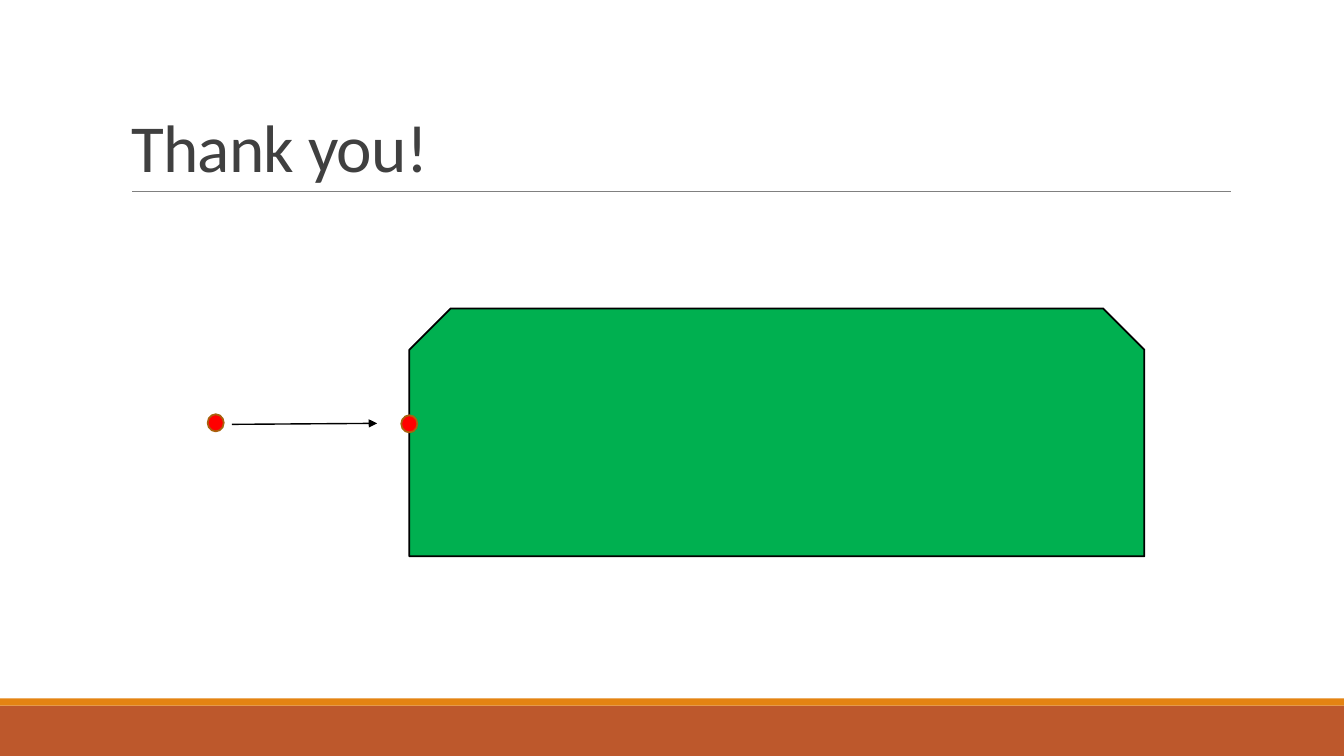
from lxml.etree import SubElement
from pptx import Presentation
from pptx.dml.color import RGBColor
from pptx.enum.shapes import MSO_CONNECTOR as Connector, MSO_SHAPE as Shape
from pptx.enum.text import MSO_ANCHOR as Anchor, MSO_AUTO_SIZE as AutoSize, PP_ALIGN as Align
from pptx.oxml.ns import qn
from pptx.util import Inches, Pt

WHITE = RGBColor(0xFF, 0xFF, 0xFF)
BLACK = RGBColor(0, 0, 0)
CHARCOAL = RGBColor(0x40, 0x40, 0x40)
GRAY = RGBColor(0x80, 0x80, 0x80)
RUST = RGBColor(0xBD, 0x58, 0x2C)
ORANGE = RGBColor(0xE4, 0x83, 0x12)
GREEN = RGBColor(0, 0xB0, 0x50)
RED = RGBColor(0xFF, 0, 0)
BROWN = RGBColor(0xA9, 0x61, 0x0D)

SLIDE_WIDTH, SLIDE_HEIGHT = 13.33, 7.5
FOOTER_TOP, STRIPE_HEIGHT = 7, 0.07
DOT_WIDTH, DOT_HEIGHT = 0.16, 0.17


class ClosingSlide:
    font = "Calibri"
    outline_width = 1.25

    def __init__(self, slide):
        self.slide = slide
        background = slide.background.fill
        background.solid()
        background.fore_color.rgb = WHITE

    def title(self, text, left, top, width, height):
        heading = self.slide.shapes.title
        heading.left, heading.top = Inches(left), Inches(top)
        heading.width, heading.height = Inches(width), Inches(height)
        frame = heading.text_frame
        frame.word_wrap = True
        frame.auto_size = AutoSize.NONE
        frame.vertical_anchor = Anchor.BOTTOM
        paragraph = frame.paragraphs[0]
        paragraph.alignment = Align.LEFT
        paragraph.line_spacing = 0.85
        run = paragraph.add_run()
        run.text = text
        run.font.name = self.font
        run.font.size = Pt(48)
        run.font.color.rgb = CHARCOAL
        run._r.get_or_add_rPr().set("spc", "-50")

    def shape(self, kind, left, top, width, height, fill, outline=None):
        item = self.slide.shapes.add_shape(
            kind, Inches(left), Inches(top), Inches(width), Inches(height))
        item.shadow.inherit = False
        item.fill.solid()
        item.fill.fore_color.rgb = fill
        if outline is None:
            item.line.fill.background()
        else:
            item.line.color.rgb = outline
            item.line.width = Pt(self.outline_width)

    def dot(self, left, top):
        self.shape(Shape.OVAL, left, top, DOT_WIDTH, DOT_HEIGHT, RED, BROWN)

    def line(self, start, end, color, width, arrow=False):
        connector = self.slide.shapes.add_connector(
            Connector.STRAIGHT, *map(Inches, start + end))
        connector.line.color.rgb = color
        connector.line.width = Pt(width)
        if arrow:
            SubElement(connector.line._get_or_add_ln(), qn("a:tailEnd"), type="triangle")
        SubElement(connector._element.spPr, qn("a:effectLst"))


def main():
    deck = Presentation()
    deck.slide_width, deck.slide_height = Inches(SLIDE_WIDTH), Inches(SLIDE_HEIGHT)
    closing = ClosingSlide(deck.slides.add_slide(deck.slide_layouts[5]))

    closing.shape(Shape.RECTANGLE, 0, FOOTER_TOP, SLIDE_WIDTH, SLIDE_HEIGHT - FOOTER_TOP, RUST)
    closing.shape(Shape.RECTANGLE, 0, FOOTER_TOP - STRIPE_HEIGHT, SLIDE_WIDTH, STRIPE_HEIGHT, ORANGE)
    closing.line((1.31, 1.9), (12.21, 1.9), GRAY, 0.5)
    closing.title("Thank you!", 1.2, 0.31, 11, 1.59)

    closing.shape(Shape.SNIP_2_SAME_RECTANGLE, 4.06, 3.06, 7.29, 2.46, GREEN, BLACK)
    closing.dot(2.06, 4.11)
    closing.dot(3.98, 4.12)
    closing.line((2.3, 4.21), (3.74, 4.2), BLACK, 1, arrow=True)

    deck.save("out.pptx")


if __name__ == "__main__":
    main()
